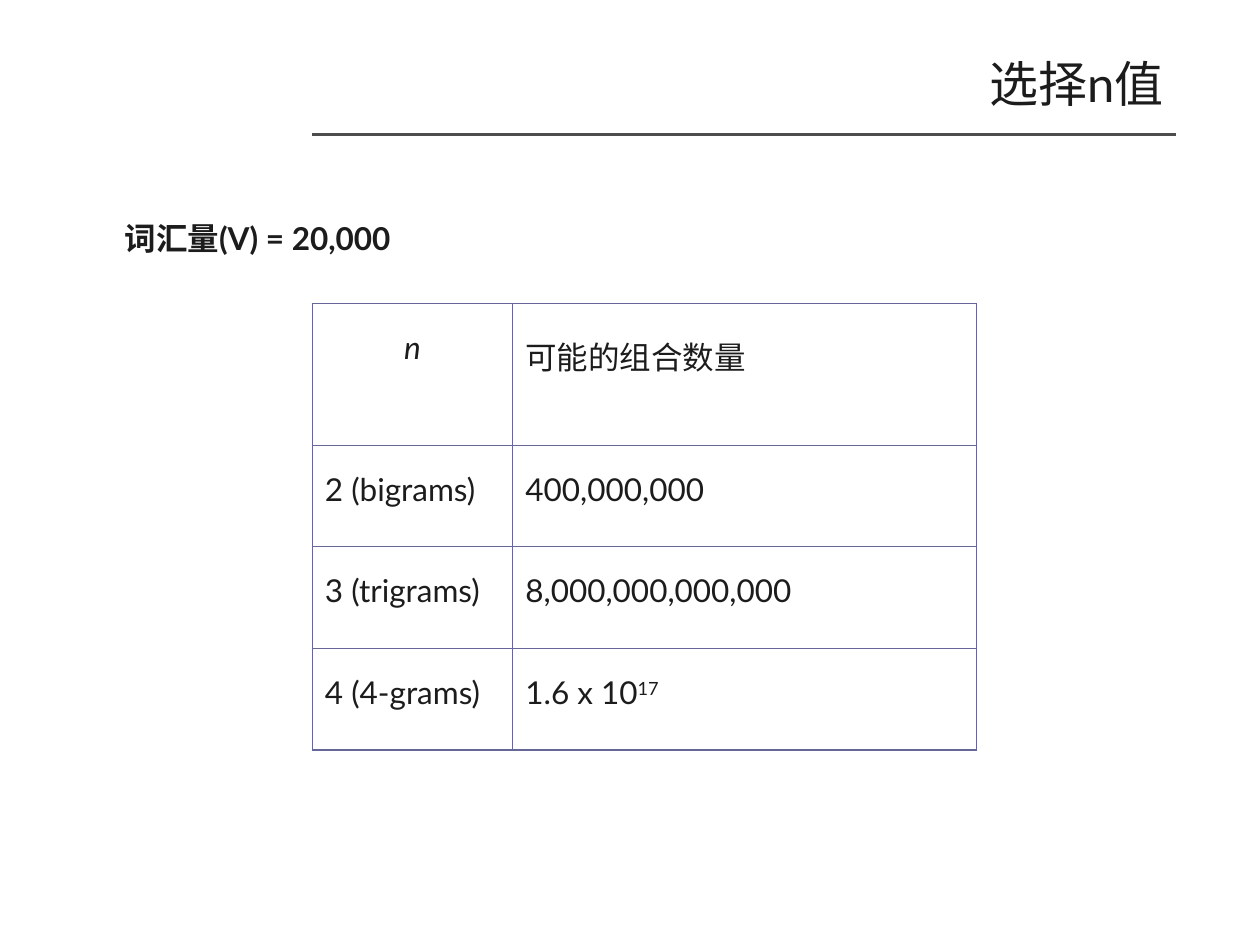
from pptx import Presentation
from pptx.dml.color import RGBColor
from pptx.enum.shapes import MSO_CONNECTOR
from pptx.enum.text import MSO_ANCHOR, PP_ALIGN
from pptx.oxml.ns import qn
from pptx.util import Pt
from lxml.etree import SubElement

TITLE = "选择n值"
NOTE = "词汇量(V) = 20,000"
# Each cell is a list of (text, style) runs.
ROWS = [
    [[("n", "italic")], [("可能的组合数量", "")]],
    [[("2 (bigrams)", "")], [("400,000,000", "")]],
    [[("3 (trigrams)", "")], [("8,000,000,000,000", "")]],
    [[("4 (4-grams)", "")], [("1.6 x 10", ""), ("17", "super")]],
]

THEME = {
    "font": "Lato", "ink": "1C1C1C", "rule": "4D4D4D", "grid": "666699",
    "title": 28, "body": 18, "outer": 1.08, "inner": 0.45,
}
LEFT, TOP = 178.5, 173.5
COLS = [114.5, 265]
HEADS = [80.8] + [58.1] * (len(ROWS) - 1)


def add_run(para, text, size, style=""):
    run = para.add_run()
    run.text = text
    font = run.font
    font.name, font.size = THEME["font"], Pt(size)
    font.color.rgb = RGBColor.from_string(THEME["ink"])
    font.bold = style == "bold"
    font.italic = style == "italic"
    if style == "super":
        font._element.set("baseline", "30000")


def space(para):
    para.line_spacing = 1.5
    para.space_before = Pt(4.5)


def add_box(slide, left, top, width, height):
    frame = slide.shapes.add_textbox(Pt(left), Pt(top), Pt(width), Pt(height)).text_frame
    frame.word_wrap = True
    return frame


def set_edge(cell, side, width):
    line = SubElement(cell._tc.get_or_add_tcPr(), qn("a:ln" + side), w=str(Pt(width)))
    fill = SubElement(line, qn("a:solidFill"))
    SubElement(fill, qn("a:srgbClr"), val=THEME["grid"])


def add_grid(slide):
    table = slide.shapes.add_table(
        len(ROWS), len(COLS), Pt(LEFT), Pt(TOP), Pt(sum(COLS)), Pt(sum(HEADS))).table
    table.first_row = table.horz_banding = False
    for col, width in zip(table.columns, COLS):
        col.width = Pt(width)
    for r, (row, height) in enumerate(zip(ROWS, HEADS)):
        table.rows[r].height = Pt(height)
        for c, runs in enumerate(row):
            cell = table.cell(r, c)
            para = cell.text_frame.paragraphs[0]
            space(para)
            para.alignment = PP_ALIGN.CENTER if r == c == 0 else PP_ALIGN.LEFT
            for text, style in runs:
                add_run(para, text, THEME["body"], style)
            outer = {"L": c == 0, "R": c == len(COLS) - 1,
                     "T": r == 0, "B": r == len(ROWS) - 1}
            for side, edge in outer.items():
                set_edge(cell, side, THEME["outer" if edge else "inner"])
            cell.fill.background()


def main():
    deck = Presentation()
    deck.slide_width, deck.slide_height = Pt(720), Pt(540)
    slide = deck.slides.add_slide(deck.slide_layouts[6])

    rule = slide.shapes.add_connector(
        MSO_CONNECTOR.STRAIGHT, Pt(LEFT), Pt(77), Pt(672), Pt(77))
    rule.line.color.rgb = RGBColor.from_string(THEME["rule"])
    rule.line.width = Pt(0)
    SubElement(rule._element.spPr, qn("a:effectLst"))

    frame = add_box(slide, 49.7, 25.2, 622.1, 44.6)
    frame.vertical_anchor = MSO_ANCHOR.MIDDLE
    para = frame.paragraphs[0]
    para.alignment = PP_ALIGN.RIGHT
    add_run(para, TITLE, THEME["title"])

    para = add_box(slide, 36, 110.9, 318.2, 401).paragraphs[0]
    space(para)
    props = para._p.get_or_add_pPr()
    props.set("marL", str(Pt(27.4)))
    props.set("indent", str(Pt(0.7)))
    add_run(para, NOTE, THEME["body"], "bold")

    add_grid(slide)
    deck.save("out.pptx")


if __name__ == "__main__":
    main()
